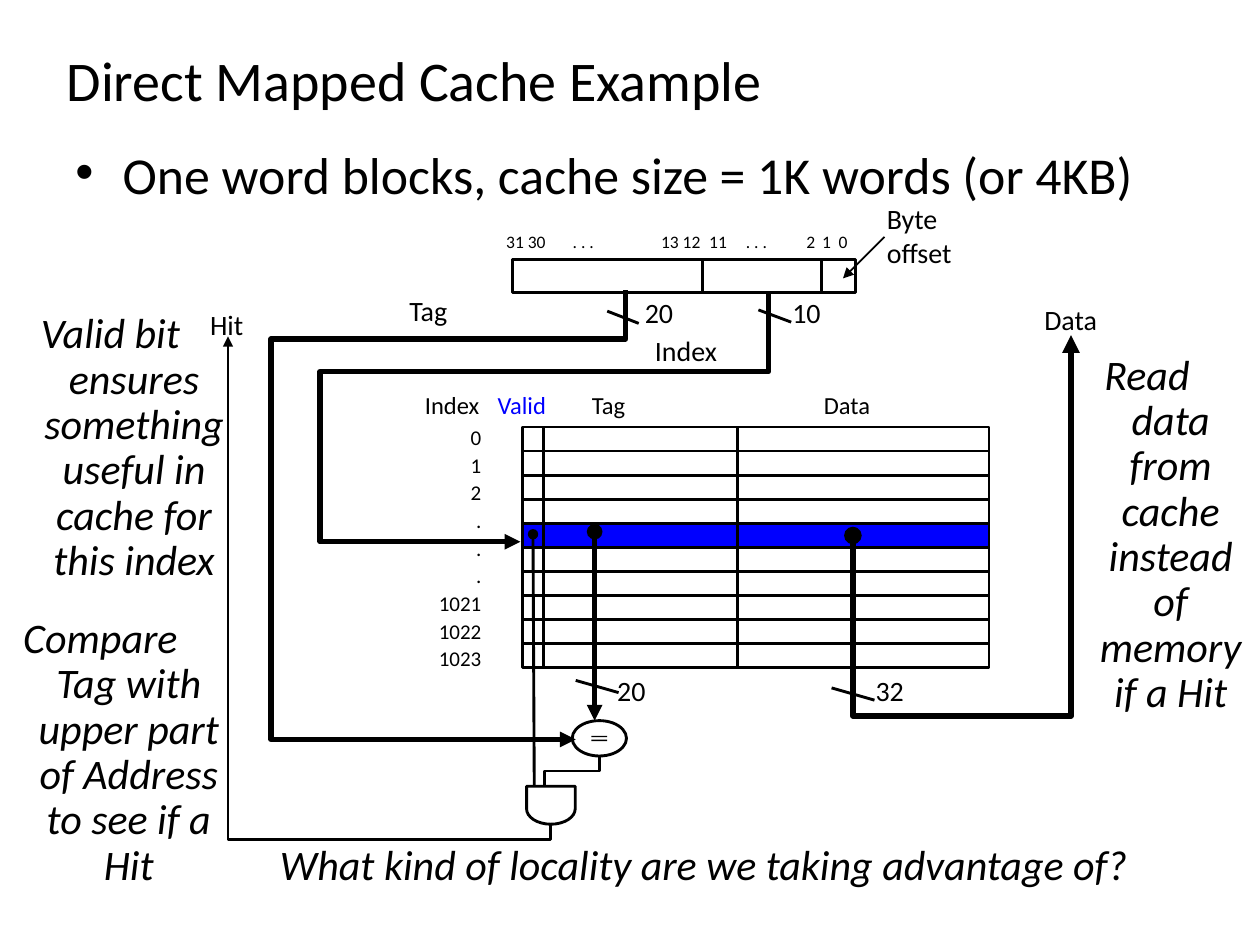
"""Build the slide that explains a direct mapped cache with one word blocks."""
import math
from dataclasses import dataclass, field
from typing import Optional

import lxml.etree
import pptx
import pptx.dml.color
import pptx.enum.shapes
import pptx.enum.text
import pptx.oxml.ns
import pptx.util

Pt = pptx.util.Pt
qn = pptx.oxml.ns.qn
ALIGN = pptx.enum.text.PP_ALIGN
SHAPE = pptx.enum.shapes.MSO_SHAPE
BLACK, BLUE = "000000", "0000FF"
THIN, THICK = 1.63, 3
HANG = 27


@dataclass
class Label:
    text: str
    left: float
    top: float
    width: float
    height: float
    size: float = 16
    colour: str = BLACK
    italic: bool = False
    wrap: bool = False
    hanging: bool = False
    bullet: str = ""
    tabs: tuple = ()
    frame_format: dict = field(default_factory=dict)
    paragraph_format: dict = field(default_factory=dict)


@dataclass
class Route:
    points: list
    weight: float = THIN
    head: Optional[str] = None
    tail: Optional[str] = None


def apply_format(target, values: dict) -> None:
    for name, value in values.items():
        setattr(target, name, value)


def tint(fill, colour: str) -> None:
    fill.solid()
    fill.fore_color.rgb = pptx.dml.color.RGBColor.from_string(colour)


def draw_label(slide, label: Label) -> None:
    box = slide.shapes.add_textbox(
        Pt(label.left), Pt(label.top), Pt(label.width), Pt(label.height))
    frame = box.text_frame
    apply_format(frame, {"word_wrap": label.wrap, **label.frame_format})
    frame.text = label.text
    for paragraph in frame.paragraphs:
        apply_format(paragraph, label.paragraph_format)
        properties = paragraph._p.get_or_add_pPr()
        if label.hanging:
            properties.set("marL", str(Pt(HANG)))
            properties.set("indent", str(-Pt(HANG)))
        if label.bullet:
            lxml.etree.SubElement(properties, qn("a:buFont"), typeface="Arial")
            lxml.etree.SubElement(properties, qn("a:buChar"), char=label.bullet)
        if label.tabs:
            stops = lxml.etree.SubElement(properties, qn("a:tabLst"))
            for stop in label.tabs:
                lxml.etree.SubElement(stops, qn("a:tab"), pos=str(Pt(stop)), algn="l")
        for run in paragraph.runs:
            apply_format(run.font, {
                "name": "Calibri", "size": Pt(label.size), "italic": label.italic})
            tint(run.font.fill, label.colour)


def draw_route(slide, route: Route) -> None:
    points = [(Pt(x), Pt(y)) for x, y in route.points]
    is_straight = len(points) == 2
    if is_straight:
        wire = slide.shapes.add_connector(
            pptx.enum.shapes.MSO_CONNECTOR.STRAIGHT, *points[0], *points[1])
    else:
        builder = slide.shapes.build_freeform(*points[0])
        builder.add_line_segments(points[1:], close=False)
        wire = builder.convert_to_shape()
        wire.fill.background()
        wire.shadow.inherit = False
    tint(wire.line.fill, BLACK)
    wire.line.width = Pt(route.weight)
    properties = wire._element.spPr
    outline = properties.find(qn("a:ln"))
    for tag, kind in (("a:headEnd", route.head), ("a:tailEnd", route.tail)):
        if kind:
            lxml.etree.SubElement(outline, qn(tag), type=kind)
    if is_straight:
        lxml.etree.SubElement(properties, qn("a:effectLst"))


def draw_block(slide, kind, left: float, top: float, width: float, height: float,
               colour: Optional[str] = None, outlined: bool = True) -> None:
    block = slide.shapes.add_shape(kind, Pt(left), Pt(top), Pt(width), Pt(height))
    block.shadow.inherit = False
    if colour:
        tint(block.fill, colour)
    else:
        block.fill.background()
    if outlined:
        tint(block.line.fill, BLACK)
        block.line.width = Pt(THIN)
    else:
        block.line.fill.background()


def draw_cache(slide) -> None:
    left, top, width, row_height, rows, hit_row = 298.8, 244, 266.4, 13.75, 10, 4
    right, bottom = left + width, top + rows * row_height
    draw_block(slide, SHAPE.RECTANGLE, left, top, width, bottom - top)
    draw_block(slide, SHAPE.RECTANGLE, left, top + hit_row * row_height,
               width, row_height, BLUE)
    for row in range(1, rows):
        level = top + row * row_height
        draw_route(slide, Route([(left, level), (right, level)]))
    for divider in (310.7, 421.2):
        draw_route(slide, Route([(divider, top), (divider, bottom)]))


def draw_address(slide) -> None:
    draw_block(slide, SHAPE.RECTANGLE, 293, 148.3, 196, 18.7)
    for divider in (401.4, 469.4):
        draw_route(slide, Route([(divider, 148.3), (divider, 167)]))


def draw_comparator(slide) -> None:
    draw_block(slide, SHAPE.OVAL, 327, 411.8, 31, 20.2)
    for bar_top in (420.5, 422.7):
        draw_block(slide, SHAPE.RECTANGLE, 338, bar_top, 9, 0.8, BLACK, outlined=False)


def and_gate() -> Route:
    centre, top, shoulder, reach, depth = 314.8, 449.3, 462.2, 13.9, 8.8
    arc = [(centre + reach * math.cos(math.pi * step / 16),
            shoulder + depth * math.sin(math.pi * step / 16)) for step in range(17)]
    return Route([(centre - reach, top), (centre + reach, top), *arc,
                  (centre - reach, top)])


def note(text: str, left: float, top: float, width: float) -> Label:
    return Label(text, left, top, width, 36, 24, italic=True, wrap=True, hanging=True,
                 paragraph_format={"alignment": ALIGN.CENTER, "line_spacing": 0.9})


LABELS = [
    Label("One word blocks, cache size = 1K words (or 4KB)", 36, 90.7, 636, 53, 29.6,
          wrap=True, hanging=True, bullet="•", paragraph_format={"line_spacing": 0.6}),
    Label("Direct Mapped Cache Example", 31, 0, 648, 90, 32, wrap=True,
          frame_format={"vertical_anchor": pptx.enum.text.MSO_ANCHOR.MIDDLE}),
    Label("20", 361.4, 165.6, 32.4, 26.6),
    Label("Tag", 226.8, 164.2, 41.8, 26.6),
    Label("10", 445.7, 165.6, 32.4, 26.6),
    Label("Index", 367.2, 187.2, 53.3, 26.6),
    Label("Data", 463.7, 219.6, 43.9, 23.8, 14),
    Label("Index", 235.7, 219.6, 48, 23.8, 14),
    Label("Tag", 331.2, 219.6, 38.2, 23.8, 14),
    Label("Valid", 277.2, 219.6, 42.5, 23.8, 14, BLUE),
    Label("0\n1\n2\n.\n.\n.\n1021\n1022\n1023", 241.2, 237.6, 41, 150.5, 12,
          paragraph_format={"alignment": ALIGN.RIGHT, "line_spacing": 1.1}),
    Label("31 30\t. . .\t13 12\t11\t. . .\t2\t1\t0", 282.2, 128.2, 223.2, 19.4, 10,
          wrap=True, tabs=(38, 88.5, 116, 137, 171.5, 180.5, 190)),
    Label("Byte offset", 499.7, 111.6, 66.2, 46, wrap=True),
    Label("20", 345.6, 381.6, 32.4, 26.6),
    Label("Data", 589.7, 169.2, 48.2, 26.6),
    Label("32", 493.2, 381.6, 32.4, 26.6),
    Label("Hit", 113, 172, 33.8, 26.6),
    note("What kind of locality are we taking advantage of?", 84.2, 478.8, 635.8),
    note("Valid bit ensures something useful in cache for this index", -15, 175, 156.2),
    note("Compare \vTag with upper part of Address to see if a Hit", -18, 349.2, 156.2),
    note("Read\vdata from cache instead of memory if a Hit", 591, 198.7, 128.9),
]

SLASHES = [
    Route([(left, top), (left + run, top + 7)])
    for left, top, run in ((347, 177.8, 18), (433.4, 177.1, 18.7),
                           (329, 388.8, 24.5), (475.2, 393.1, 24.5))
]

ROUTES = SLASHES + [
    Route([(357.5, 166), (357.5, 193.7), (154.8, 193.7), (154.8, 422.6), (329, 422.6)],
          THICK, tail="triangle"),
    Route([(439.2, 167), (439.2, 212.4), (182.9, 212.4), (182.9, 309.6), (297.4, 309.6)],
          THICK, tail="triangle"),
    Route([(505.4, 135.4), (481.7, 159.1)], 1, tail="triangle"),
    Route([(339.8, 303.8), (339.8, 411.8)], THICK, "oval", "triangle"),
    Route([(487.4, 306), (487.4, 409), (612, 409), (612, 191.5)],
          3.38, "oval", "triangle"),
    and_gate(),
    Route([(304.6, 305.3), (305.3, 449.3)], head="oval"),
    Route([(342.4, 432), (342.4, 440.6), (311, 440.6), (311, 449.3)]),
    Route([(314.6, 470.9), (314.6, 479.5), (130.3, 479.5), (130.3, 192.2)],
          tail="triangle"),
]


def main() -> None:
    deck = pptx.Presentation()
    apply_format(deck, {"slide_width": Pt(720), "slide_height": Pt(540)})
    slide = deck.slides.add_slide(deck.slide_layouts[6])
    draw_cache(slide)
    draw_address(slide)
    draw_comparator(slide)
    for route in ROUTES:
        draw_route(slide, route)
    for label in LABELS:
        draw_label(slide, label)
    deck.save("out.pptx")


if __name__ == "__main__":
    main()
